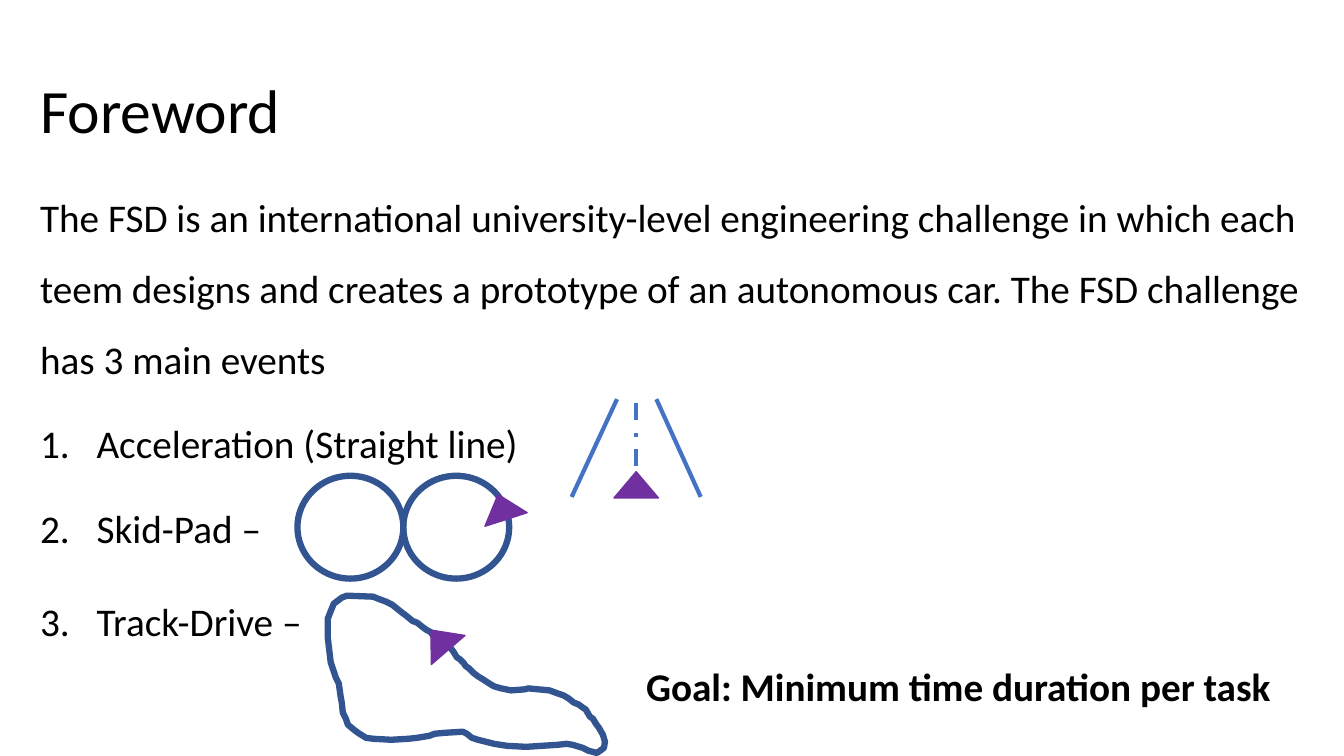
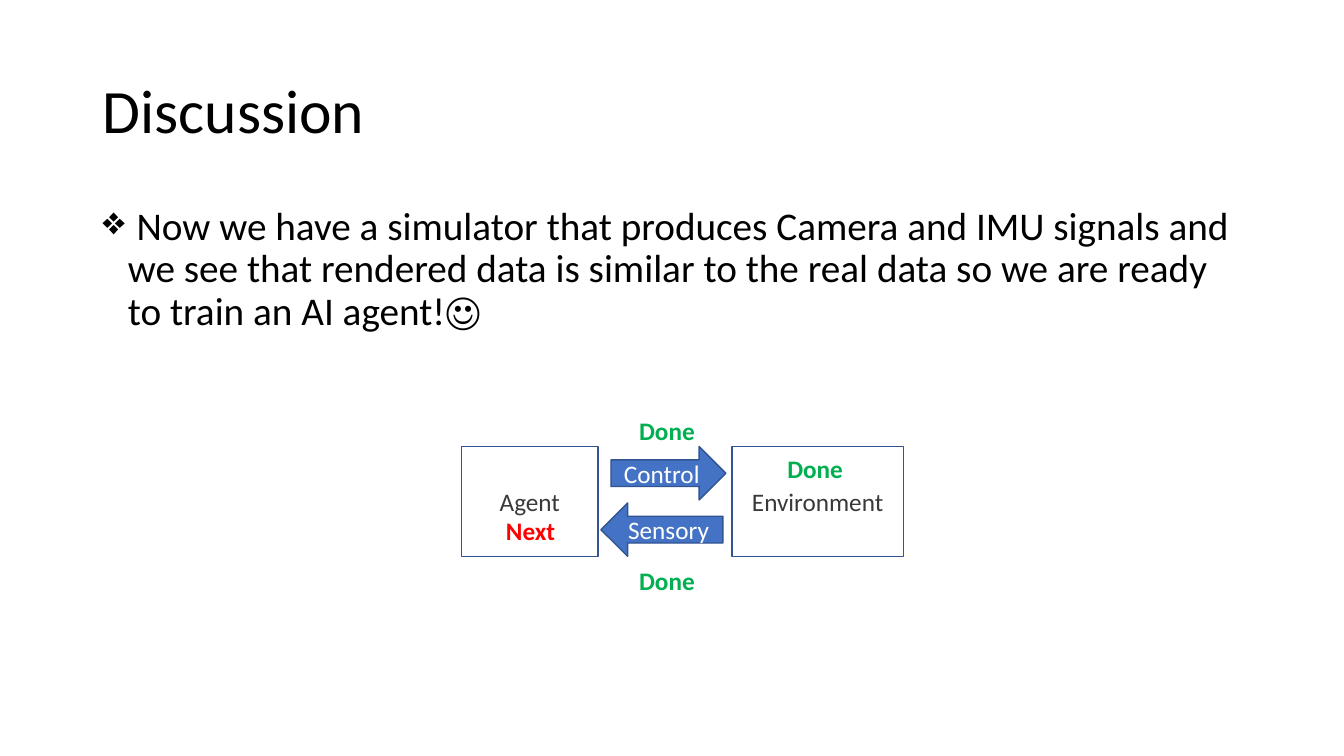
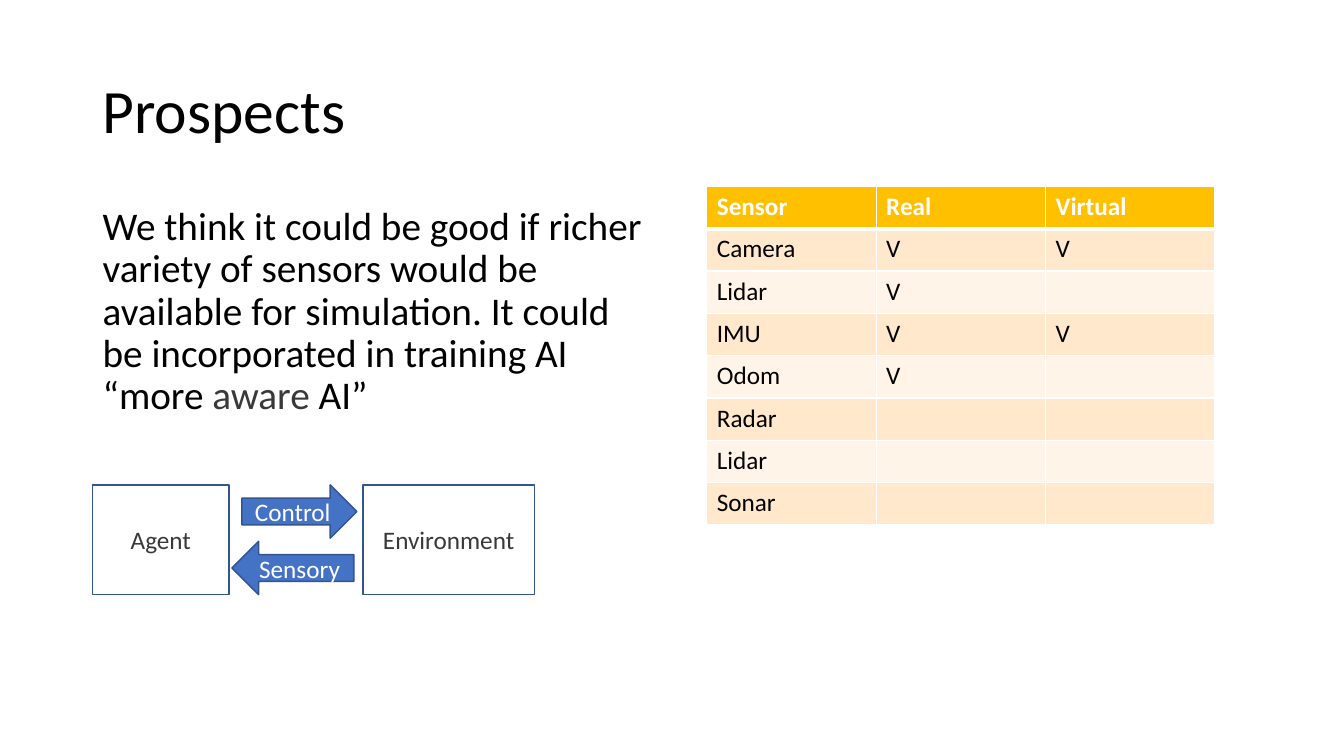
"""Build three slides about an autonomous racing simulator."""
import lxml.etree
import pptx
import pptx.dml.color
import pptx.enum.dml
import pptx.enum.shapes
import pptx.enum.text
import pptx.oxml.ns
import pptx.util

Inches = pptx.util.Inches
Pt = pptx.util.Pt
RGBColor = pptx.dml.color.RGBColor
Shape = pptx.enum.shapes.MSO_SHAPE
Anchor = pptx.enum.text.MSO_ANCHOR
Align = pptx.enum.text.PP_ALIGN
qn = pptx.oxml.ns.qn

BLACK = RGBColor(0x00, 0x00, 0x00)
WHITE = RGBColor(0xFF, 0xFF, 0xFF)
GRAY = RGBColor(0x3B, 0x38, 0x38)
BLUE = RGBColor(0x44, 0x72, 0xC4)
NAVY = RGBColor(0x32, 0x54, 0x91)
PURPLE = RGBColor(0x70, 0x30, 0xA0)
GREEN = RGBColor(0x00, 0xB0, 0x50)
RED = RGBColor(0xFF, 0x00, 0x00)
AMBER = RGBColor(0xFF, 0xC0, 0x00)
PEACH = RGBColor(0xFF, 0xE8, 0xCC)
CREAM = RGBColor(0xFF, 0xF4, 0xE7)

FONT = "Calibri"
TITLE_SIZE, BODY_SIZE, LABEL_SIZE = 44, 28, 18

TRACK = [
    (325, 632), (325, 614), (327, 609), (329, 604), (331, 599), (335, 596),
    (339, 593), (344, 591), (370, 592), (375, 594), (383, 597), (389, 600),
    (394, 604), (399, 608), (403, 611), (409, 616), (414, 618), (419, 622),
    (423, 625), (427, 627), (430, 631), (434, 633), (438, 637), (442, 639),
    (447, 643), (450, 647), (453, 652), (456, 654), (460, 658), (462, 661),
    (465, 663), (468, 666), (470, 668), (474, 671), (479, 674), (485, 678),
    (490, 681), (497, 683), (507, 685), (520, 684), (524, 683), (545, 685),
    (553, 688), (559, 690), (564, 693), (569, 697), (574, 699), (578, 702),
    (581, 704), (585, 711), (588, 713), (591, 718), (594, 722), (598, 729),
    (600, 736), (599, 742), (595, 745), (592, 747), (584, 745), (578, 742),
    (568, 739), (562, 738), (553, 739), (522, 741), (503, 740), (490, 738),
    (482, 736), (474, 734), (468, 732), (463, 728), (459, 726), (442, 727),
    (431, 728), (426, 730), (414, 732), (405, 733), (388, 734), (370, 733),
    (363, 732), (355, 727), (351, 724), (345, 719), (343, 713), (340, 707),
    (339, 697), (338, 692), (336, 678), (333, 672), (331, 666), (328, 657),
]


class SlideBuilder:
    """Hold the deck style and the current slide."""

    def __init__(self):
        self.deck = pptx.Presentation()
        self.deck.slide_width = Inches(13.33)
        self.deck.slide_height = Inches(7.5)
        self.slide = None

    def start(self, title, left=0.92):
        self.slide = self.deck.slides.add_slide(self.deck.slide_layouts[6])
        frame = self.text(left, 0.4, 11.5, 1.45, title, TITLE_SIZE)
        frame.vertical_anchor = Anchor.MIDDLE
        frame.paragraphs[0].line_spacing = 0.9

    def style(self, paragraph, size, color, bold=False):
        for span in paragraph.runs:
            span.font.name = FONT
            span.font.size = Pt(size)
            span.font.bold = bold
            span.font.color.rgb = color

    def text(self, left, top, width, height, words, size, color=BLACK, bold=False):
        box = self.slide.shapes.add_textbox(
            Inches(left), Inches(top), Inches(width), Inches(height))
        frame = box.text_frame
        frame.word_wrap = True
        frame.text = words
        for para in frame.paragraphs:
            self.style(para, size, color, bold)
        return frame

    def body(self, left, top, width, height, words, spacing=0.9):
        frame = self.text(left, top, width, height, words, BODY_SIZE)
        for index, para in enumerate(frame.paragraphs):
            para.line_spacing = spacing
            if index:
                para.space_before = Pt(10)
        return frame.paragraphs

    def bullet(self, paragraph, indent, tag, **attributes):
        properties = paragraph._p.get_or_add_pPr()
        properties.set("marL", str(Inches(indent)))
        properties.set("indent", str(-Inches(indent)))
        lxml.etree.SubElement(properties, qn(tag), **attributes)

    def paint(self, shape, fill, line, weight):
        shape.shadow.inherit = False
        if fill is None:
            shape.fill.background()
        else:
            shape.fill.solid()
            shape.fill.fore_color.rgb = fill
        shape.line.color.rgb = line
        shape.line.width = Pt(weight)

    def shape(self, kind, left, top, width, height, fill=None, line=NAVY,
              weight=1, label="", color=GRAY, rotation=0):
        shape = self.slide.shapes.add_shape(
            kind, Inches(left), Inches(top), Inches(width), Inches(height))
        shape.rotation = rotation
        self.paint(shape, fill, line, weight)
        if label:
            frame = shape.text_frame
            frame.text = label
            frame.vertical_anchor = Anchor.MIDDLE
            frame.paragraphs[0].alignment = Align.CENTER
            self.style(frame.paragraphs[0], LABEL_SIZE, color)

    def car(self, left, top, rotation=0):
        self.shape(Shape.ISOSCELES_TRIANGLE, left, top, 0.44, 0.26,
                   PURPLE, PURPLE, rotation=rotation)

    def line(self, start_x, start_y, end_x, end_y, dash=None):
        connector = self.slide.shapes.add_connector(
            pptx.enum.shapes.MSO_CONNECTOR.STRAIGHT,
            Inches(start_x), Inches(start_y), Inches(end_x), Inches(end_y))
        connector.line.color.rgb = BLUE
        connector.line.width = Pt(3)
        if dash is not None:
            connector.line.dash_style = dash
        lxml.etree.SubElement(connector._element.spPr, qn("a:effectLst"))

    def outline(self, points, weight):
        builder = self.slide.shapes.build_freeform(*points[0], scale=Inches(0.01))
        builder.add_line_segments(points[1:], close=True)
        self.paint(builder.convert_to_shape(), None, NAVY, weight)

    def control_loop(self, left, top):
        self.shape(Shape.RECTANGLE, left, top, 1.35, 1.09, label="Agent")
        self.shape(Shape.RECTANGLE, left + 2.68, top, 1.7, 1.09, label="Environment")
        self.shape(Shape.RIGHT_ARROW, left + 1.48, top, 1.14, 0.53, BLUE,
                   label="Control", color=WHITE)
        self.shape(Shape.LEFT_ARROW, left + 1.38, top + 0.56, 1.21, 0.53, BLUE,
                   label="Sensory", color=WHITE)

    def border(self, cell, side, weight):
        line = lxml.etree.SubElement(
            cell._tc.get_or_add_tcPr(), qn("a:ln" + side), w=str(Pt(weight)))
        fill = lxml.etree.SubElement(line, qn("a:solidFill"))
        lxml.etree.SubElement(fill, qn("a:srgbClr"), val=str(WHITE))

    def table(self, left, top, column_width, row_height, rows):
        columns = len(rows[0])
        grid = self.slide.shapes.add_table(
            len(rows), columns, Inches(left), Inches(top),
            Inches(column_width * columns), Inches(row_height * len(rows))).table
        for row_index, row in enumerate(rows):
            header = row_index == 0
            fill = AMBER if header else (CREAM, PEACH)[row_index % 2]
            for column_index, words in enumerate(row):
                cell = grid.cell(row_index, column_index)
                cell.text = words
                self.style(cell.text_frame.paragraphs[0], LABEL_SIZE,
                           WHITE if header else BLACK, header)
                for side in "LRTB":
                    below_header = (row_index, side) in ((0, "B"), (1, "T"))
                    self.border(cell, side, 3 if below_header else 1)
                cell.fill.solid()
                cell.fill.fore_color.rgb = fill


def foreword(builder):
    builder.start("Foreword", left=0.3)
    paragraphs = builder.body(
        0.3, 1.64, 13.03, 5.86,
        "The FSD is an international university-level engineering challenge in "
        "which each teem designs and creates a prototype of an autonomous car. "
        "The FSD challenge has 3 main events\n"
        "Acceleration (Straight line)\nSkid-Pad –\nTrack-Drive –", spacing=1.5)
    for para in paragraphs[1:]:
        builder.bullet(para, 0.56, "a:buAutoNum", type="arabicPeriod")
    paragraphs[-1].space_before = Pt(16)

    builder.line(6.12, 3.96, 5.67, 4.93)
    builder.line(6.51, 3.96, 6.95, 4.93)
    builder.line(6.31, 4, 6.31, 4.88, pptx.enum.dml.MSO_LINE.DASH_DOT)
    builder.car(6.09, 4.68)
    for left in (2.95, 4):
        builder.shape(Shape.OVAL, left, 4.72, 1.05, 1.02, weight=4.5)
    builder.car(4.76, 4.9, 342.2)
    builder.outline(TRACK, 4.5)
    builder.car(4.14, 6.22, 319.2)
    builder.text(6.31, 6.52, 6.72, 0.57, "Goal: Minimum time duration per task",
                 BODY_SIZE, bold=True)


def discussion(builder):
    builder.start("Discussion")
    paragraphs = builder.body(
        0.92, 2, 11.5, 4.76,
        " Now we have a simulator that produces Camera and IMU signals and we see "
        "that rendered data is similar to the real data so we are ready to train "
        "an AI agent!☺")
    builder.bullet(paragraphs[0], 0.25, "a:buChar", char="❖")
    builder.control_loop(4.58, 4.43)
    for left, top, status, color in (
            (4.92, 5.06, "Next", RED), (7.71, 4.45, "Done", GREEN),
            (6.24, 5.56, "Done", GREEN), (6.24, 4.07, "Done", GREEN)):
        builder.text(left, top, 2.49, 0.4, status, LABEL_SIZE, color, bold=True)


def prospects(builder):
    builder.start("Prospects")
    para = builder.body(
        0.92, 2, 5.64, 4.76,
        "We think it could be good if richer variety of sensors would be available "
        "for simulation. It could be incorporated in training AI “more ")[0]
    for words in ("aware", " AI”"):
        para.add_run().text = words
    builder.style(para, BODY_SIZE, BLACK)
    para.runs[1].font.color.rgb = GRAY
    builder.table(7.01, 1.85, 1.68, 0.42, [
        ("Sensor", "Real", "Virtual"),
        ("Camera", "V", "V"),
        ("Lidar", "V", ""),
        ("IMU", "V", "V"),
        ("Odom", "V", ""),
        ("Radar", "", ""),
        ("Lidar", "", ""),
        ("Sonar", "", ""),
    ])
    builder.control_loop(0.92, 4.81)


def main():
    builder = SlideBuilder()
    foreword(builder)
    discussion(builder)
    prospects(builder)
    builder.deck.save("out.pptx")


if __name__ == "__main__":
    main()
